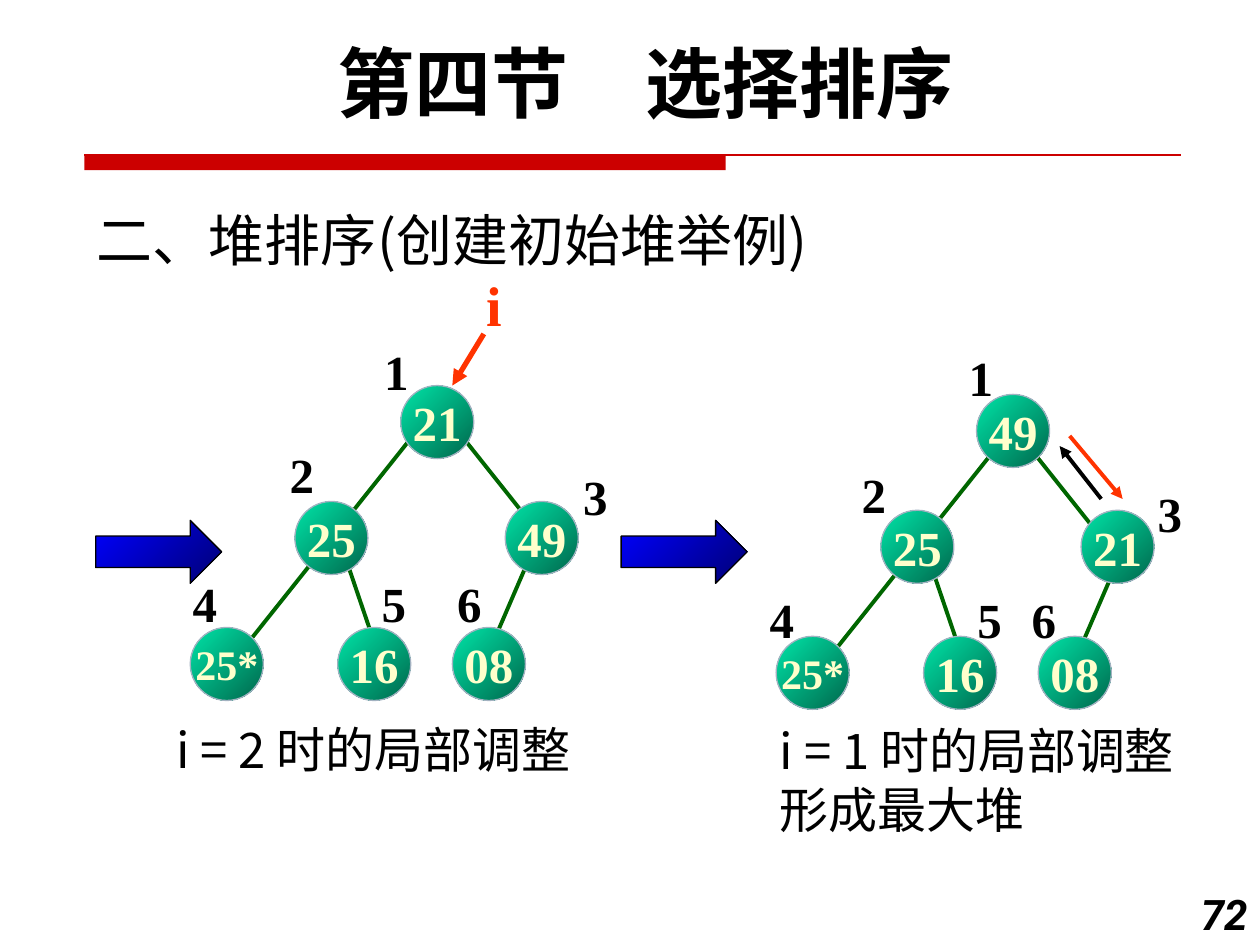
from dataclasses import dataclass
from lxml.etree import SubElement
from pptx import Presentation
from pptx.dml.color import RGBColor as RGB
from pptx.enum.shapes import MSO_CONNECTOR as Link, MSO_SHAPE as Shape
from pptx.enum.text import MSO_ANCHOR as Anchor, MSO_AUTO_SIZE as Fit, PP_ALIGN as Align
from pptx.oxml.ns import qn
from pptx.util import Inches, Pt


@dataclass(frozen=True)
class Theme:
    """Colours, fonts and type sizes of the slide."""
    ink: str = "000000"
    rule: str = "CC0000"
    edge: str = "006600"
    mark: str = "FF3300"
    rim: str = "A3B2C1"
    cream: str = "FFFFCC"
    green: tuple = ("00E4A8", "00684C")
    blue: tuple = ("0000FF", "000076")
    han: str = "Noto Sans CJK SC"
    sans: str = "Roboto"
    serif: str = "Times New Roman"
    title: int = 44
    head: int = 32
    body: int = 28
    small: int = 24


T = Theme()
NODE = 0.58
ROWS = (0, 0.92, 1.92)


def write(para, text, size, face, color=T.ink, bold=False, italic=False):
    """Add one styled run to a paragraph."""
    run = para.add_run()
    run.text = text
    font = run.font
    font.size, font.name, font.bold, font.italic = Pt(size), face, bold, italic
    font.color.rgb = RGB.from_string(color)
    east = T.han if face == T.sans else face
    SubElement(run._r.get_or_add_rPr(), qn("a:ea")).set("typeface", east)


def label(slide, box, lines, size, face, align=Align.LEFT, wrap=False,
          anchor=Anchor.TOP, fit=Fit.SHAPE_TO_FIT_TEXT, **style):
    """Place a text box with one paragraph for each line."""
    frame = slide.shapes.add_textbox(*map(Inches, box)).text_frame
    frame.word_wrap, frame.auto_size, frame.vertical_anchor = wrap, fit, anchor
    for i, line in enumerate(lines):
        para = frame.add_paragraph() if i else frame.paragraphs[0]
        para.alignment = align
        write(para, line, size, face, **style)


def stroke(slide, start, end, color, width, arrow=False):
    """Draw a straight line, with an arrowhead at its end if asked."""
    line = slide.shapes.add_connector(Link.STRAIGHT, *map(Inches, (*start, *end)))
    line.line.color.rgb = RGB.from_string(color)
    line.line.width = Pt(width)
    if arrow:
        SubElement(line.line._get_or_add_ln(), qn("a:tailEnd")).set("type", "triangle")
    SubElement(line._element.spPr, qn("a:effectLst"))


def shade(slide, kind, box, colors, rim):
    """Add a preset shape with a diagonal gradient and a thin outline."""
    shape = slide.shapes.add_shape(kind, *map(Inches, box))
    shape.shadow.inherit = False
    shape.fill.gradient()
    shape.fill.gradient_angle = 315
    for stop, color in zip(shape.fill.gradient_stops, colors):
        stop.color.rgb = RGB.from_string(color)
    shape.line.color.rgb = RGB.from_string(rim)
    shape.line.width = Pt(0.75)
    return shape


def node(slide, left, top, text):
    """Draw one heap node with its key."""
    ball = shade(slide, Shape.OVAL, (left, top, NODE, NODE), T.green, T.rim)
    frame = ball.text_frame
    frame.word_wrap, frame.vertical_anchor = False, Anchor.MIDDLE
    para = frame.paragraphs[0]
    para.alignment = Align.CENTER
    size = T.small if len(text) > 2 else T.body
    write(para, text, size, T.serif, color=T.cream, bold=True)


def tree(slide, left, top, keys, tags, lean=0):
    """Draw a six-node heap; lean moves the root and right child leftwards."""
    edges = (
        ((2.67, 1.42), (2.42, 2)),
        ((1.25, 1.42), (1.42, 1.92)),
        ((2.17 - 2 * lean, 0.42), (2.83 - 2 * lean, 1.25)),
        ((1.75, 0.42), (0.42, 2.09)),
    )
    for (x1, y1), (x2, y2) in edges:
        stroke(slide, (left + x1, top + y1), (left + x2, top + y2), T.edge, 2.25)
    spots = ((1.67 - lean, 0), (0.83, 1), (2.5 - lean, 1), (0, 2), (1.17, 2), (2.08, 2))
    for key, (x, row) in zip(keys, spots):
        node(slide, left + x, top + ROWS[row], key)
    for i, (x, y) in enumerate(tags, 1):
        label(slide, (left + x, top + y, 0.4, 0.57), [str(i)], T.body, T.serif, bold=True)


def header(slide, left, top, width):
    """Place the section title, the red rule and the topic line."""
    label(slide, (0.5, 0.23, 9.25, 0.84), ["第四节\u3000选择排序".replace("\u3000", "　")],
          T.title, T.sans, Align.CENTER, True, bold=True)
    bar = slide.shapes.add_shape(Shape.RECTANGLE, *map(Inches, (left, top, 5.09, 0.12)))
    bar.shadow.inherit = False
    bar.fill.solid()
    bar.fill.fore_color.rgb = RGB.from_string(T.rule)
    bar.line.fill.background()
    stroke(slide, (left, top), (left + width, top), T.rule, 0.75)
    label(slide, (left, top + 0.23, 6.25, 0.75), ["二、堆排序(创建初始堆举例)"],
          T.head, T.han, wrap=True, anchor=Anchor.BOTTOM, fit=Fit.NONE)


def before(slide, left, top):
    """Draw the step for i = 2 with the pointer to the root."""
    tags = ((1.44, -0.4), (0.69, 0.42), (3.02, 0.59),
            (-0.08, 1.44), (1.42, 1.44), (2.02, 1.44))
    tree(slide, left, top, ("21", "25", "49", "25*", "16", "08"), tags)
    stroke(slide, (left + 2.33, top - 0.41), (left + 2.08, top), T.mark, 3, True)
    label(slide, (left + 2.25, top - 0.96, 0.32, 0.63), ["i"], T.head, T.serif,
          color=T.mark, bold=True)
    label(slide, (left - 0.21, top + 2.6, 3.74, 0.57), ["i = 2 时的局部调整"],
          T.body, T.han)


def after(slide, left, top):
    """Draw the step for i = 1 with the swap arrows."""
    tags = ((1.43, -0.42), (0.58, 0.51), (2.93, 0.66),
            (-0.15, 1.5), (1.5, 1.5), (1.93, 1.5))
    tree(slide, left, top, ("49", "25", "21", "25*", "16", "08"), tags, 0.08)
    stroke(slide, (left + 2.58, top + 0.83), (left + 2.25, top + 0.41), T.ink, 2.25, True)
    stroke(slide, (left + 2.33, top + 0.33), (left + 2.75, top + 0.83), T.mark, 2.25, True)
    label(slide, (left - 0.07, top + 2.54, 3.74, 1.04),
          ["i = 1 时的局部调整", "形成最大堆"], T.body, T.han)


def main():
    """Build the slide and save it."""
    deck = Presentation()
    deck.slide_width, deck.slide_height = Inches(10), Inches(7.5)
    slide = deck.slides.add_slide(deck.slide_layouts[6])
    header(slide, 0.67, 1.23, 8.7)
    before(slide, 1.51, 3.06)
    after(slide, 6.16, 3.13)
    for left in (0.76, 4.93):
        shade(slide, Shape.RIGHT_ARROW, (left, 4.13, 1, 0.5), T.blue, T.ink)
    label(slide, (9.33, 7, 0.67, 0.5), ["72"], T.small, T.sans, Align.RIGHT, True,
          bold=True, italic=True)
    deck.save("out.pptx")


if __name__ == "__main__":
    main()
